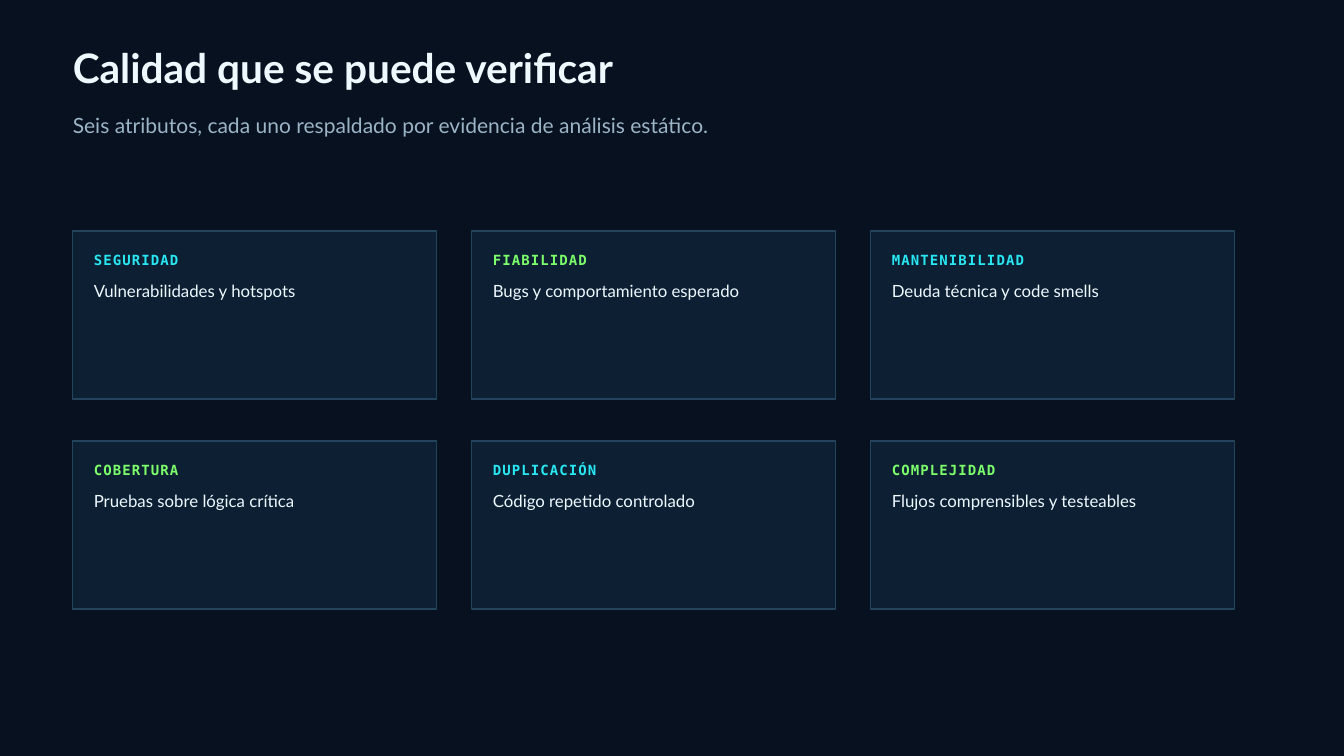
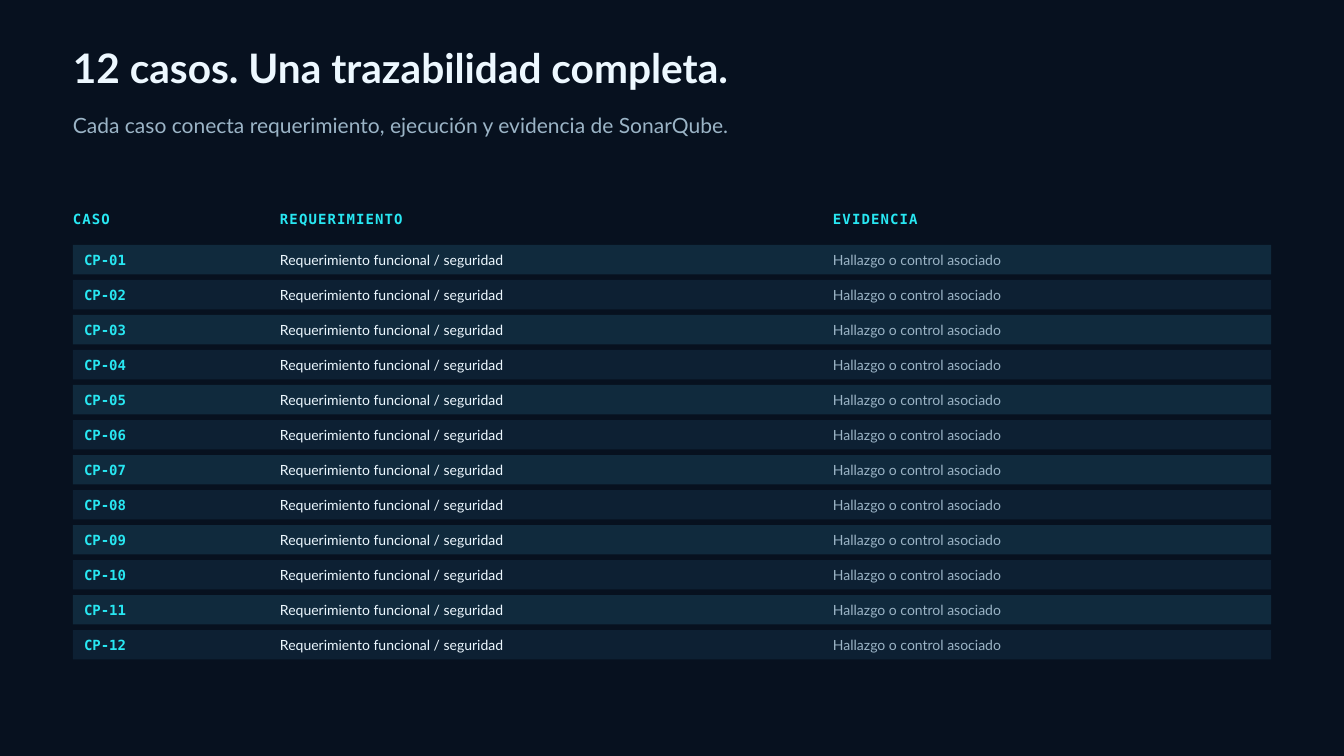
from lxml.etree import SubElement
from pptx import Presentation
from pptx.dml.color import RGBColor
from pptx.enum.shapes import MSO_SHAPE
from pptx.enum.text import MSO_ANCHOR, MSO_AUTO_SIZE, PP_ALIGN
from pptx.oxml.ns import qn
from pptx.util import Pt

PX = 9525
SANS, MONO = "Lato", "DejaVu Sans Mono"
BACK, CARD, BAND, EDGE = "07111F", "0D2033", "102A3D", "23445B"
WHITE, GRAY, CYAN, LIME = "EDF8FF", "9BB4C6", "28E7F2", "7CFF6B"
PLAIN = "{2D5ABB26-0587-4C30-8999-92F81FD0307C}"


def paint(fill, color):
    fill.solid()
    fill.fore_color.rgb = RGBColor.from_string(color)


def write(frame, text, size=15, color=WHITE, lead=21, font=SANS, bold=False, track=0):
    frame.margin_left = frame.margin_right = frame.margin_top = frame.margin_bottom = 0
    frame.word_wrap = True
    frame.auto_size = MSO_AUTO_SIZE.NONE
    frame.vertical_anchor = MSO_ANCHOR.TOP
    para = frame.paragraphs[0]
    para.alignment = PP_ALIGN.LEFT
    para.line_spacing = Pt(lead)
    para.space_before = Pt(0)
    run = para.add_run()
    run.text = text
    run.font.name = font
    run.font.size = Pt(size)
    run.font.bold = bold
    run.font.color.rgb = RGBColor.from_string(color)
    if track:
        run.font._element.set("spc", str(track))


deck = Presentation()
deck.slide_width, deck.slide_height = 1920 * PX, 1080 * PX
paint(deck.slide_master.background.fill, BACK)
layout = deck.slide_layouts[1]
for index, top, height in [(0, 68, 73), (1, 156, 38)]:
    holder = layout.placeholders[index]
    holder.left, holder.top = 104 * PX, top * PX
    holder.width, holder.height = 1500 * PX, height * PX

heads = [
    ("Calidad que se puede verificar",
     "Seis atributos, cada uno respaldado por evidencia de análisis estático."),
    ("12 casos. Una trazabilidad completa.",
     "Cada caso conecta requerimiento, ejecución y evidencia de SonarQube."),
]
for title, lead in heads:
    slide = deck.slides.add_slide(layout)
    write(slide.shapes.title.text_frame, title, size=43.5, lead=47, bold=True)
    body = slide.placeholders[1].text_frame
    write(body, lead, size=22.5, color=GRAY, lead=30.4)
    props = body.paragraphs[0]._p.get_or_add_pPr()
    props.set("marL", "0")
    props.set("indent", "0")
    SubElement(props, qn("a:buNone"))

traits, cases = deck.slides

cards = [
    ("SEGURIDAD", "Vulnerabilidades y hotspots"),
    ("FIABILIDAD", "Bugs y comportamiento esperado"),
    ("MANTENIBILIDAD", "Deuda técnica y code smells"),
    ("COBERTURA", "Pruebas sobre lógica crítica"),
    ("DUPLICACIÓN", "Código repetido controlado"),
    ("COMPLEJIDAD", "Flujos comprensibles y testeables"),
]
for i, (name, note) in enumerate(cards):
    left, top = 104 + i % 3 * 570, 330 + i // 3 * 300
    group = traits.shapes.add_group_shape().shapes
    card = group.add_shape(MSO_SHAPE.RECTANGLE, left * PX, top * PX, 520 * PX, 240 * PX)
    card.shadow.inherit = False
    paint(card.fill, CARD)
    paint(card.line.fill, EDGE)
    card.line.width = Pt(1.5)
    label = group.add_textbox((left + 30) * PX, (top + 26) * PX, 460 * PX, 26 * PX)
    write(label.text_frame, name, color=LIME if i % 2 else CYAN, font=MONO, bold=True, track=120)
    label = group.add_textbox((left + 30) * PX, (top + 68) * PX, 460 * PX, 31 * PX)
    write(label.text_frame, note, size=18, lead=24.3)

rows = [("CASO", "REQUERIMIENTO", "EVIDENCIA")]
for n in range(12):
    rows.append((f"CP-{n + 1:02}", "Requerimiento funcional / seguridad", "Hallazgo o control asociado"))
    bar = cases.shapes.add_shape(
        MSO_SHAPE.RECTANGLE, 104 * PX, (350 + n * 50) * PX, 1712 * PX, 42 * PX)
    bar.shadow.inherit = False
    bar.line.fill.background()
    paint(bar.fill, CARD if n % 2 else BAND)

table = cases.shapes.add_table(13, 3, 104 * PX, 297 * PX, 1712 * PX, 649 * PX).table
table.first_row = table.horz_banding = False
table._tbl.tblPr.find(qn("a:tableStyleId")).text = PLAIN
for column, width in zip(table.columns, (296, 790, 626)):
    column.width = width * PX

for r, row in enumerate(rows):
    table.rows[r].height = (50 if r else 49) * PX
    for c, text in enumerate(row):
        cell = table.cell(r, c)
        mono = r == 0 or c == 0
        write(cell.text_frame, text, color=CYAN if mono else (WHITE, GRAY)[c - 1],
              font=MONO if mono else SANS, bold=mono, track=0 if r else 120)
        cell.margin_left = 16 * PX if r and c == 0 else 0
        cell.margin_right = cell.margin_bottom = 0
        cell.margin_top = 10 * PX if r else 0
        cell.vertical_anchor = MSO_ANCHOR.TOP
        cell.fill.background()

deck.save("out.pptx")
